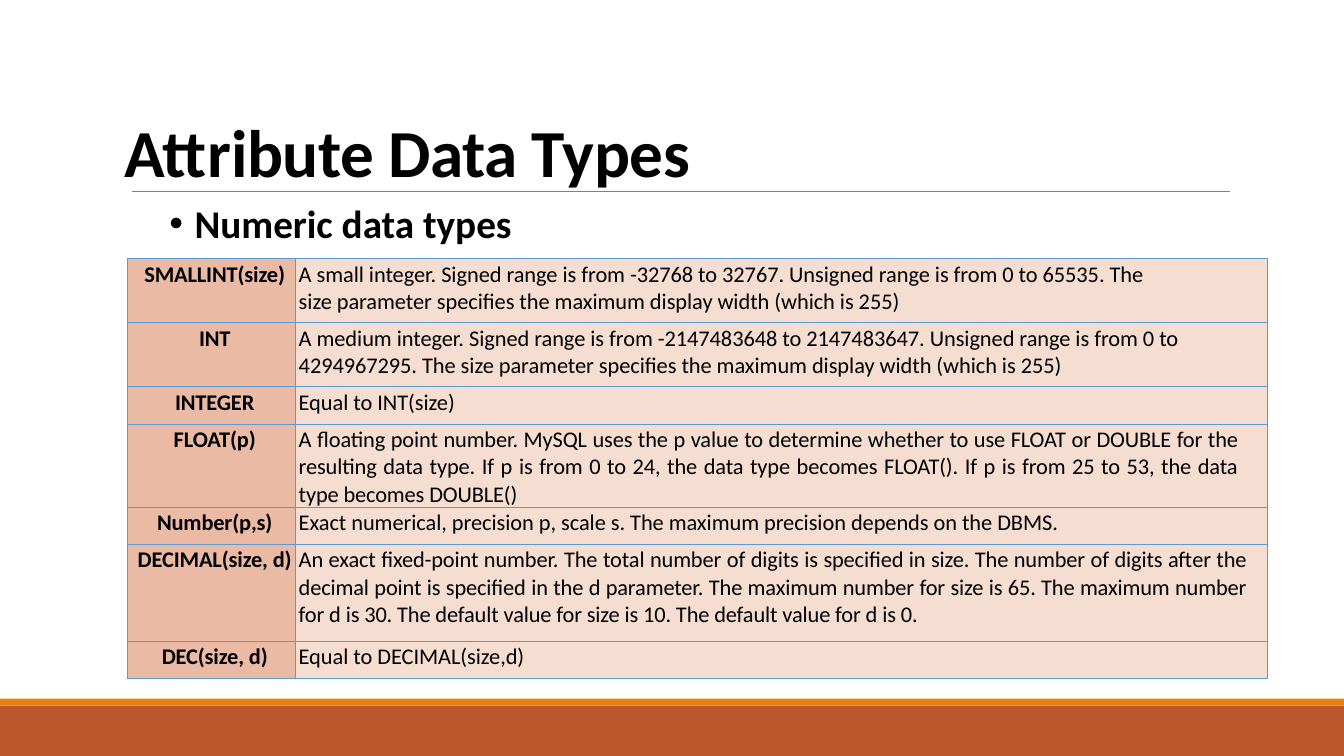
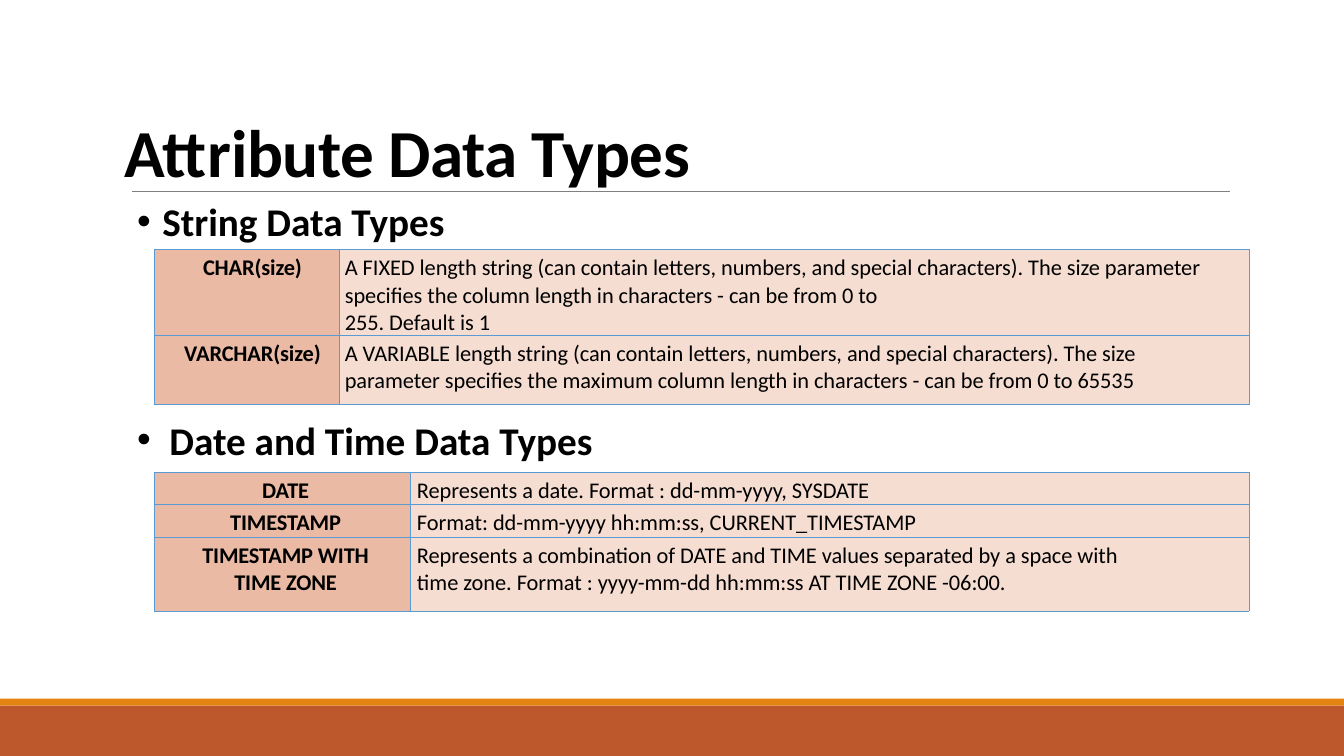
"""Builds two slides on attribute data types, with tables of SQL types."""
from lxml import etree
from pptx import Presentation
from pptx import util as u
from pptx.dml.color import RGBColor
from pptx.enum import shapes, text
from pptx.oxml import ns

COLORS = {"ink": "000000", "band": "BD582C", "strip": "E48312", "rule": "808080",
          "border": "5B9BD4", "label": "EABAA5", "body": "F5DDD2"}
LEFT, CENTER, JUSTIFY = text.PP_ALIGN.LEFT, text.PP_ALIGN.CENTER, text.PP_ALIGN.JUSTIFY
TRACKING = {LEFT: -4, CENTER: -8, JUSTIFY: -8}

deck = Presentation()
deck.slide_width, deck.slide_height = u.Inches(13.33), u.Inches(7.5)
column, row = deck.slide_width / 100, deck.slide_height / 100


def grid(left, top, width, height):
    """Turn hundredths of the slide into lengths."""
    return [u.Emu(round(share * unit))
            for share, unit in zip((left, top, width, height), (column, row) * 2)]


def style(frame, size, bold, align=LEFT, tracking=0):
    """Format every paragraph of a text frame."""
    for para in frame.paragraphs:
        para.alignment = align
        para.font.name, para.font.size, para.font.bold = "Calibri", u.Pt(size), bold
        para.font.color.rgb = RGBColor.from_string(COLORS["ink"])
        for span in para.runs:
            span._r.get_or_add_rPr().set("spc", str(tracking))


numeric = [
    ("SMALLINT(size)", "A small integer. Signed range is from -32768 to 32767. Unsigned range "
     "is from 0 to 65535. The size parameter specifies the maximum display width "
     "(which is 255)", 8.47, 7.5, LEFT),
    ("INT", "A medium integer. Signed range is from -2147483648 to 2147483647. Unsigned range "
     "is from 0 to 4294967295. The size parameter specifies the maximum display width "
     "(which is 255)", 8.47, 3.75, LEFT),
    ("INTEGER", "Equal to INT(size)", 4.93, 0, LEFT),
    ("FLOAT(p)", "A floating point number. MySQL uses the p value to determine whether to use "
     "FLOAT or DOUBLE for the resulting data type. If p is from 0 to 24, the data type becomes "
     "FLOAT(). If p is from 25 to 53, the data type becomes DOUBLE()", 11, 2.1, JUSTIFY),
    ("Number(p,s)", "Exact numerical, precision p, scale s. The maximum precision depends on "
     "the DBMS.", 4.93, 0, LEFT),
    ("DECIMAL(size, d)", "An exact fixed-point number. The total number of digits is specified "
     "in size. The number of digits after the decimal point is specified in the d parameter. "
     "The maximum number for size is 65. The maximum number for d is 30. The default value for "
     "size is 10. The default value for d is 0.", 12.8, 1.45, JUSTIFY),
    ("DEC(size, d)", "Equal to DECIMAL(size,d)", 4.93, 0, LEFT),
]
strings = [
    ("CHAR(size)", "A FIXED length string (can contain letters, numbers, and special "
     "characters). The size parameter specifies the column length in characters - can be from "
     "0 to\n255. Default is 1", 11.3, 0, LEFT),
    ("VARCHAR(size)", "A VARIABLE length string (can contain letters, numbers, and special "
     "characters). The size parameter specifies the maximum column length in characters - can "
     "be from 0 to 65535", 9.13, 3.75, LEFT),
]
dates = [
    ("DATE", "Represents a date. Format : dd-mm-yyyy, SYSDATE", 4.25, 0, LEFT),
    ("TIMESTAMP", "Format: dd-mm-yyyy hh:mm:ss, CURRENT_TIMESTAMP", 4.3, 0, LEFT),
    ("TIMESTAMP WITH\nTIME ZONE", "Represents a combination of DATE and TIME values separated "
     "by a space with\ntime zone. Format : yyyy-mm-dd hh:mm:ss AT TIME ZONE -06:00.",
     9.8, 0, LEFT),
]
pages = [
    [dict(heading="Numeric data types", at=(12.6, 26.4, 30, 6.4), hang=1.88,
          corner=(9.45, 34.2), widths=(12.53, 72.3), insets=(0.53, 0.25), top=0.3,
          rows=numeric)],
    [dict(heading="String Data Types", at=(10.2, 26.13, 30, 6.4), hang=1.88,
          corner=(11.48, 33), widths=(13.8, 67.65), insets=(0.82, 0.38), top=0.67,
          rows=strings),
     dict(heading="Date and Time Data Types", at=(10.2, 55, 40, 6.4), hang=2.4,
          corner=(11.48, 62.45), widths=(19.05, 62.4), insets=(0.5, 0.5), top=0.7,
          rows=dates)],
]

layout = deck.slide_layouts[5]
slides = [deck.slides.add_slide(layout) for page in pages]
backdrop = []
for name, place in (("band", (0, 93.33, 100, 6.67)), ("strip", (0, 92.4, 100, 0.93))):
    bar = slides[0].shapes.add_shape(shapes.MSO_SHAPE.RECTANGLE, *grid(*place))
    bar.shadow.inherit = False
    bar.fill.solid()
    bar.fill.fore_color.rgb = RGBColor.from_string(COLORS[name])
    bar.line.fill.background()
    backdrop.append(bar)
rule = slides[0].shapes.add_connector(shapes.MSO_CONNECTOR.STRAIGHT,
                                      *grid(9.82, 25.33, 91.54, 25.33))
rule.line.color.rgb = RGBColor.from_string(COLORS["rule"])
rule.line.width = u.Pt(0.5)
etree.SubElement(rule.element.spPr, ns.qn("a:effectLst"))
backdrop.append(rule)
for position, part in enumerate(backdrop, start=2):
    layout.shapes.element.insert(position, part.element)

for slide, sections in zip(slides, pages):
    title = slide.shapes.title
    title.left, title.top, title.width, title.height = grid(9.28, 14.3, 55.2, 10.93)
    frame = title.text_frame
    frame.text = "Attribute Data Types"
    frame.margin_left = frame.margin_right = frame.margin_top = frame.margin_bottom = 0
    frame.vertical_anchor = text.MSO_ANCHOR.BOTTOM
    style(frame, 48, True, tracking=-35)

    for section in sections:
        box = slide.shapes.add_textbox(*grid(*section["at"]))
        frame = box.text_frame
        frame.word_wrap = True
        frame.margin_left = frame.margin_right = frame.margin_top = frame.margin_bottom = 0
        frame.text = section["heading"]
        properties = frame.paragraphs[0]._p.get_or_add_pPr()
        hang = round(section["hang"] * column)
        properties.set("marL", str(hang))
        properties.set("indent", str(-hang))
        font = etree.SubElement(properties, ns.qn("a:buFont"))
        font.set("typeface", "Arial")
        bullet = etree.SubElement(properties, ns.qn("a:buChar"))
        bullet.set("char", "•")
        style(frame, 28, True)

        rows, widths = section["rows"], section["widths"]
        size = sum(widths), sum(entry[2] for entry in rows)
        table = slide.shapes.add_table(len(rows), 2, *grid(*section["corner"], *size)).table
        table.first_row = table.horz_banding = False
        for table_column, width in zip(table.columns, widths):
            table_column.width = round(width * column)
        for index, (label, body, height, gap, align) in enumerate(rows):
            table.rows[index].height = round(height * row)
            kinds = (("label", label, 0, CENTER), ("body", body, gap, align))
            for side, (kind, words, right, alignment) in enumerate(kinds):
                cell = table.cell(index, side)
                cell.text_frame.text = words
                style(cell.text_frame, 16, kind == "label", alignment, TRACKING[alignment])
                cell.margin_left = round(section["insets"][side] * column)
                cell.margin_right = round(right * column)
                cell.margin_top, cell.margin_bottom = round(section["top"] * row), 0
                cell_format = cell._tc.get_or_add_tcPr()
                for edge in ("a:lnL", "a:lnR", "a:lnT", "a:lnB"):
                    line = etree.SubElement(cell_format, ns.qn(edge), w=str(u.Pt(0.5)))
                    paint = etree.SubElement(line, ns.qn("a:solidFill"))
                    etree.SubElement(paint, ns.qn("a:srgbClr"), val=COLORS["border"])
                cell.fill.solid()
                cell.fill.fore_color.rgb = RGBColor.from_string(COLORS[kind])

deck.save("out.pptx")
